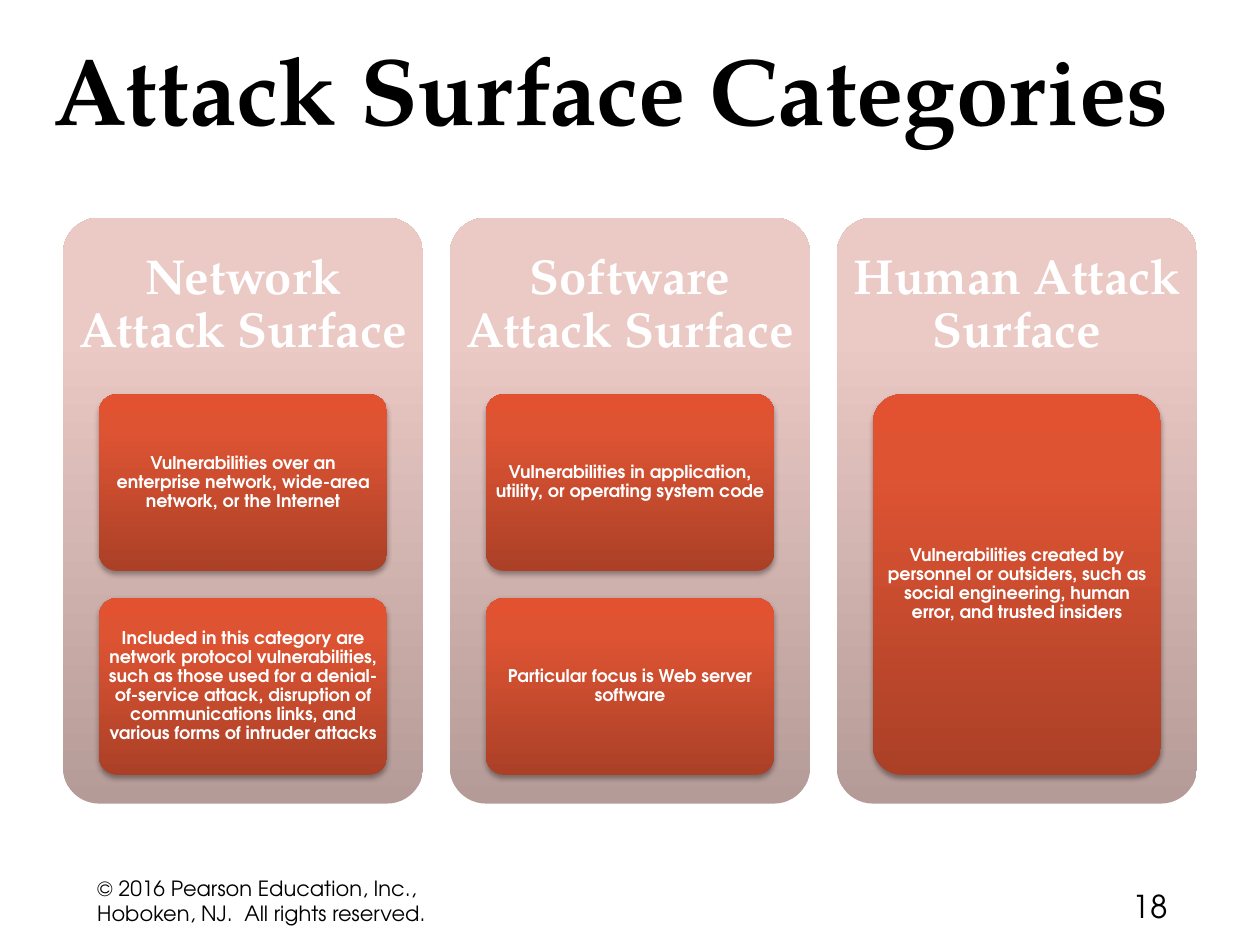
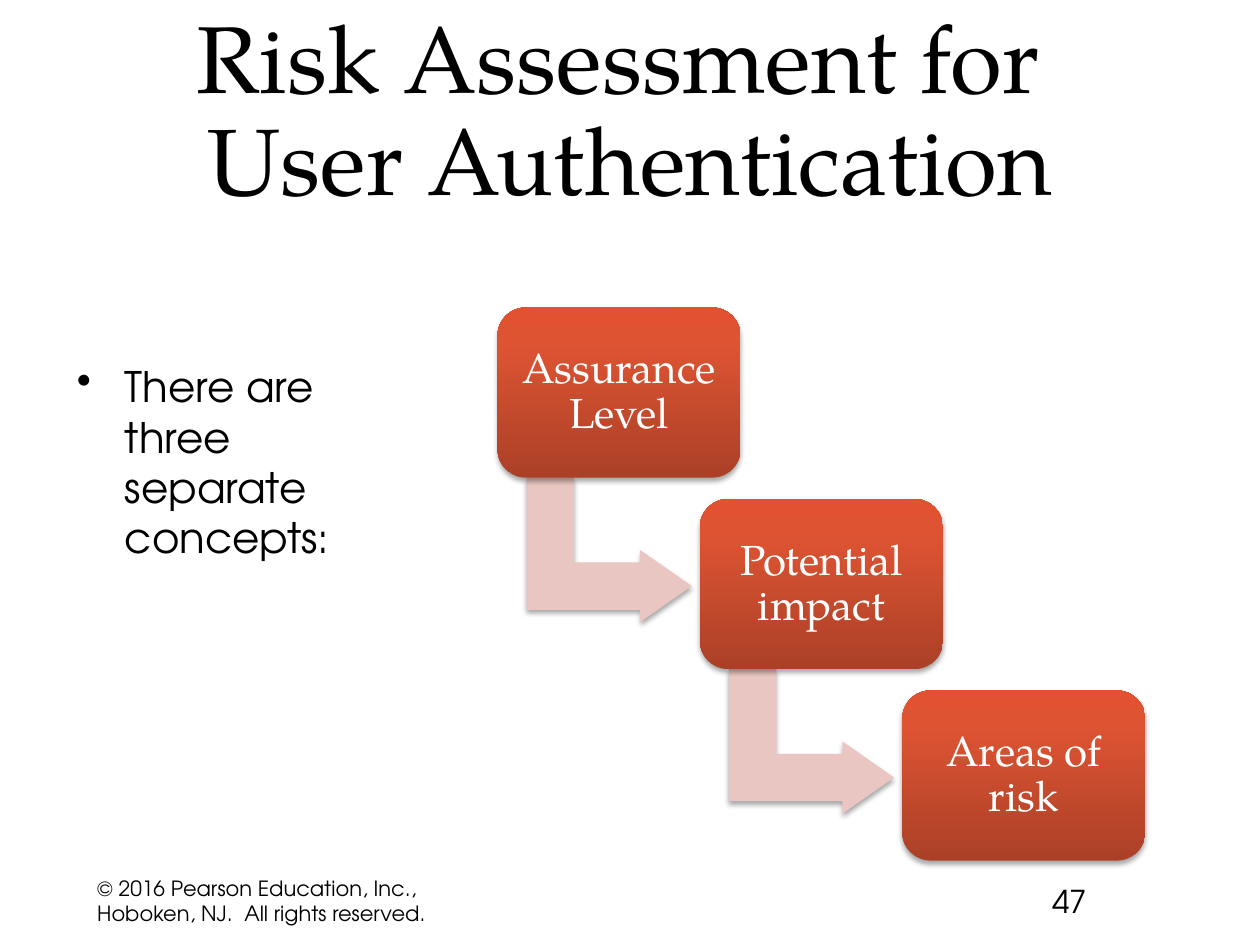
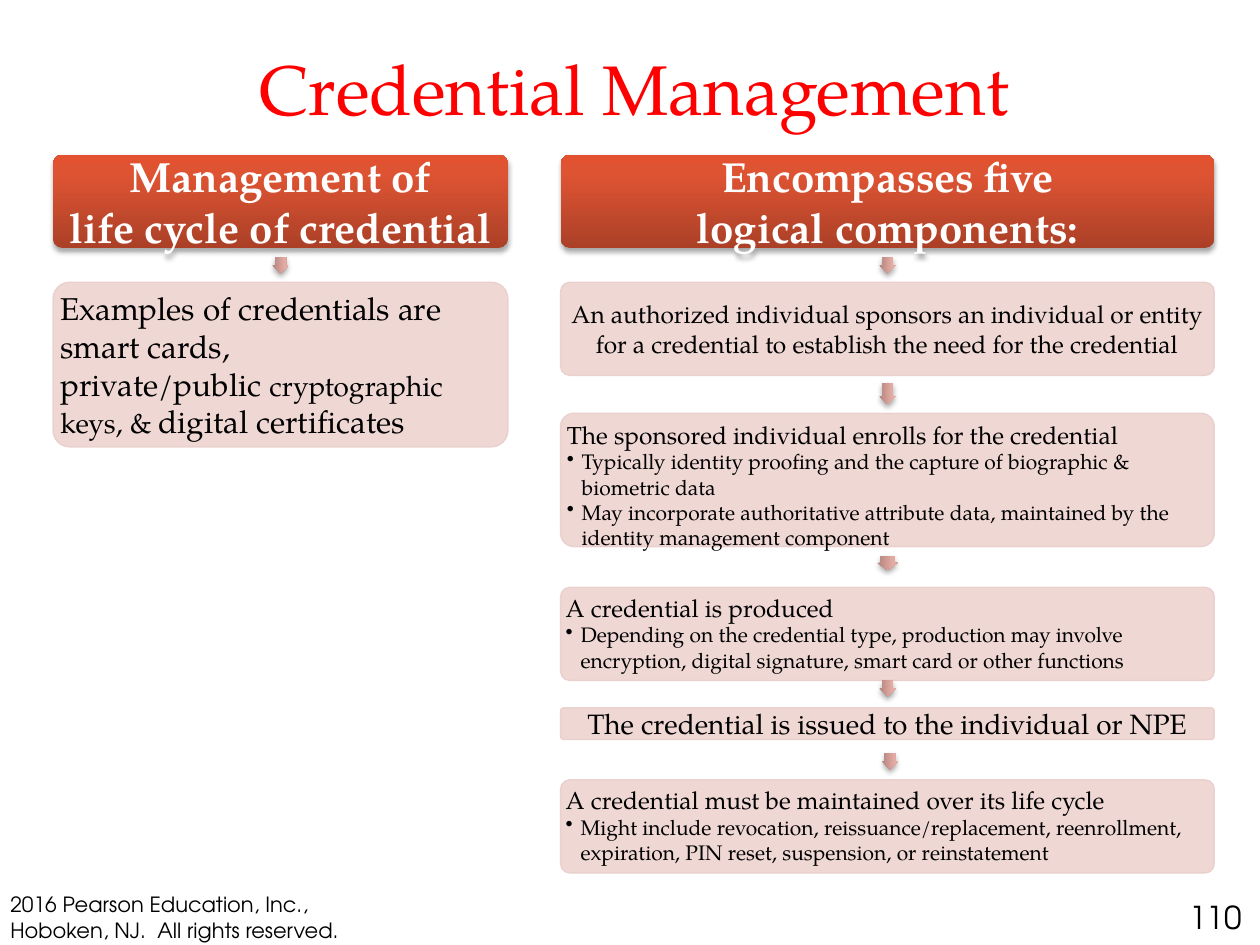
from copy import deepcopy

from pptx import Presentation
from pptx import util as u
from pptx.dml.color import RGBColor
from pptx.enum import shapes, text
from pptx.oxml import parse_xml
from pptx.oxml.ns import nsdecls, qn

SERIF, SANS = "TeX Gyre Pagella", "TeX Gyre Adventor"
BLACK, WHITE, RED = "000000", "FFFFFF", "FF0000"
BRICK = ("AB4027", "DE5433", "E35230")
ROSE = ("B59B97", "EBC9C5", "EDC9C5")
CLAY = ("B1847E", "E5ACA4", "E8ABA3")
PINK, PALE, EDGE = "E9C6C1", "EED3D0", "E9CECB"
STOPS = (0, 0.8, 1)
KIND = shapes.MSO_SHAPE
LEFT, MID = text.PP_ALIGN.LEFT, text.PP_ALIGN.CENTER
TOP, CORE, LOW = (text.MSO_ANCHOR.TOP, text.MSO_ANCHOR.MIDDLE,
                  text.MSO_ANCHOR.BOTTOM)
RIGHTS = "2016 Pearson Education, Inc., Hoboken, NJ.  All rights reserved."


def rgb(code):
    return RGBColor.from_string(code)


class Deck:
    def __init__(self):
        self.prs = Presentation()
        self.prs.slide_width, self.prs.slide_height = u.Cm(25.4), u.Cm(19.05)

    def page(self):
        self.slide = self.prs.slides.add_slide(self.prs.slide_layouts[6])

    def fill_text(self, shape, paras, size, font=SERIF, color=BLACK,
                  bold=False, align=LEFT, anchor=CORE, lead=None,
                  pad=(0.25, 0.13, 0.25, 0.13)):
        """Each para is a string or a list of (text, size, hanging indent)."""
        frame = shape.text_frame
        sides = ("margin_left", "margin_top", "margin_right", "margin_bottom")
        form = dict(zip(sides, map(u.Cm, pad)),
                    word_wrap=True, vertical_anchor=anchor)
        for key, val in form.items():
            setattr(frame, key, val)
        for i, para in enumerate(paras):
            p = frame.add_paragraph() if i else frame.paragraphs[0]
            parts = [(para, size, 0)] if isinstance(para, str) else para
            if parts[0][2]:
                self.bullet(p, parts[0][2])
            p.alignment, p.line_spacing = align, lead
            for words, pt, _ in parts:
                lines = words.split("\v")
                for n, line in enumerate(lines):
                    if n:
                        p.add_line_break()
                    run = p.add_run()
                    run.text = line
                    look = dict(name=font, size=u.Pt(pt), bold=bold)
                    for key, val in look.items():
                        setattr(run.font, key, val)
                    run.font.color.rgb = rgb(color)

    def bullet(self, p, hang):
        props = p._p.get_or_add_pPr()
        props.set("marL", str(u.Cm(hang)))
        props.set("indent", str(-u.Cm(hang)))
        props.append(parse_xml(f'<a:buChar {nsdecls("a")} char="•"/>'))

    def label(self, box, paras, size, **look):
        shape = self.slide.shapes.add_textbox(*map(u.Cm, box))
        self.fill_text(shape, paras, size, **look)

    def title(self, box, words, size=54, **look):
        self.label(box, [words], size, align=MID, anchor=LOW, **look)

    def footer(self, num, note, spot):
        self.label(note[1:], [note[0]], 12, font=SANS,
                   pad=(0.13, 0.13, 0.25, 0.13))
        self.label(spot, [num], 18, font=SANS, pad=(0.08, 0.13, 0.13, 0.13))

    def shape(self, kind, box, fill, adj, shade=True):
        """A three-colour fill runs as a gradient from bottom to top."""
        shape = self.slide.shapes.add_shape(kind, *map(u.Cm, box))
        for i, val in enumerate(adj):
            shape.adjustments[i] = val
        shape.line.fill.background()
        shape.shadow.inherit = False
        props = shape._element.spPr
        if isinstance(fill, str):
            shape.fill.solid()
            shape.fill.fore_color.rgb = rgb(fill)
        else:
            shape.fill.gradient()
            shape.fill.gradient_angle = 90
            stops = props.find(".//" + qn("a:gsLst"))
            stops.append(deepcopy(stops[-1]))
            for stop, pos, code in zip(shape.fill.gradient_stops, STOPS, fill):
                stop.position = pos
                stop.color.rgb = rgb(code)
        if shade:
            props.find(qn("a:effectLst")).append(parse_xml(
                f'<a:outerShdw {nsdecls("a")} blurRad="{u.Pt(3.1)}" '
                f'dist="{u.Pt(1.8)}" dir="5400000" rotWithShape="0">'
                '<a:srgbClr val="000000"><a:alpha val="35000"/></a:srgbClr>'
                '</a:outerShdw>'))
        return shape

    def card(self, box, paras, size, adj=0.1, pad=(0.08, 0.05, 0.08, 0.05),
             **look):
        shape = self.shape(KIND.ROUNDED_RECTANGLE, box, BRICK, [adj])
        self.fill_text(shape, paras, size, color=WHITE, align=MID, pad=pad,
                       **look)

    def note(self, box, paras, size, **look):
        shape = self.shape(KIND.ROUNDED_RECTANGLE, box, PALE, [0.1], False)
        shape.line.color.rgb = rgb(EDGE)
        shape.line.width = u.Pt(0.75)
        for tint in shape._element.spPr.iter(qn("a:srgbClr")):
            tint.append(parse_xml(f'<a:alpha {nsdecls("a")} val="90000"/>'))
        self.fill_text(shape, paras, size, pad=[0.05] * 4, **look)

    def arrow(self, x, y, long=0.33, wide=0.33):
        """Small arrow pointing down, centred on x, y."""
        box = (x - long / 2, y - wide / 2, long, wide)
        self.shape(KIND.RIGHT_ARROW, box, CLAY, [0.667, 0.5]).rotation = 90


NOTE = ("© " + RIGHTS, 1.83, 17.65, 7.9, 1.02)


def attack(deck):
    deck.page()
    deck.title((0.51, 1.12, 23.62, 1.93), "Attack Surface Categories",
               bold=True, lead=u.Pt(58))
    groups = {
        "Network Attack Surface": [
            "Vulnerabilities over an enterprise network, wide-area network, "
            "or the Internet",
            "Included in this category are network protocol vulnerabilities, "
            "such as those used for a denial-of-service attack, disruption of "
            "communications links, and various forms of intruder attacks"],
        "Software Attack Surface": [
            "Vulnerabilities in application, utility, or operating system code",
            "Particular focus is Web server software"],
        "Human Attack Surface": [
            "Vulnerabilities created by personnel or outsiders, such as social "
            "engineering, human error, and trusted insiders"]}
    wide, gap = 7.26, 0.55
    for col, (head, items) in enumerate(groups.items()):
        x = 1.27 + col * 7.8
        deck.shape(KIND.ROUNDED_RECTANGLE, (x, 4.39, wide, 11.81), ROSE,
                   [0.1], False)
        deck.label((x, 4.39, wide, 3.53), [head], 28, color=WHITE, bold=True,
                   align=MID, lead=0.9, pad=[0.3] * 4)
        tall = (7.67 - gap * (len(items) - 1)) / len(items)
        for row, item in enumerate(items):
            y = 7.95 + row * (tall + gap)
            deck.card((x + wide / 10, y, wide * 0.8, tall), [item], 10,
                      font=SANS, bold=True, lead=0.9)
    deck.footer("18", NOTE, (22.76, 17.75, 1.37, 1.02))


def risk(deck):
    deck.page()
    deck.title((1.27, 0, 22.86, 4.45),
               "Risk Assessment for \vUser Authentication", lead=u.Pt(58))
    deck.label((1.3, 7.14, 7.01, 7.98),
               [[("There are three separate concepts:", 24, 0.97)]], 24,
               font=SANS, anchor=TOP)
    steps = ["Assurance Level", "Potential impact", "Areas of risk"]
    for i, step in enumerate(steps):
        x, y = 10.03 + i * 4.08, 6.2 + i * 3.86
        if i < len(steps) - 1:
            bend = deck.shape(KIND.BENT_UP_ARROW, (x + 0.79, y + 3.22, 2.92, 3.33),
                              PINK, [0.328, 0.25, 0.358])
            bend.rotation = 90
        deck.card((x, y, 4.9, 3.43), [step], 24, adj=0.167, lead=0.9,
                  pad=[0.25] * 4)
    deck.footer("47", NOTE, (21.13, 17.65, 3, 1.02))


def manage(deck):
    deck.page()
    deck.title((1.35, 0.74, 22.86, 2.01), "Credential Management", 40, color=RED)
    left, right = (1.07, 9.17), (11.3, 13.18)
    heads = [(left, ["Management of", "life cycle of credential"]),
             (right, ["Encompasses five", "logical components:"])]
    for (x, wide), head in heads:
        deck.card((x, 3.12, wide, 1.88), head, 24, bold=True, pad=[0.1] * 4)
        deck.arrow(x + wide / 2, 5.35)
    deck.note((left[0], 5.69, left[1], 3.32), [
        "Examples of credentials are", "smart cards,",
        [("private/public ", 18, 0), ("cryptographic keys, & ", 16, 0),
         ("digital certificates", 18, 0)]], 18)

    x, wide = right
    lone = [
        (5.69, 1.88, 14, "An authorized individual sponsors an individual or "
         "entity for a credential to establish the need for the credential"),
        (14.27, 0.64, 16, "The credential is issued to the individual or NPE")]
    for y, tall, size, words in lone:
        deck.note((x, y, wide, tall), [words], size, align=MID)
    lists = [
        (8.33, 2.69, "The sponsored individual enrolls for the credential", [
            "Typically identity proofing and the capture of biographic & "
            "biometric data",
            "May incorporate authoritative attribute data, maintained by the "
            "identity management component"]),
        (11.84, 1.88, "A credential is produced", [
            "Depending on the credential type, production may involve "
            "encryption, digital signature, smart card or other functions"]),
        (15.72, 1.88, "A credential must be maintained over its life cycle", [
            "Might include revocation, reissuance/replacement, reenrollment, "
            "expiration, PIN reset, suspension, or reinstatement"])]
    for y, tall, head, items in lists:
        points = [[(item, 12, 0.3)] for item in items]
        deck.note((x, y, wide, tall), [head] + points, 14, anchor=TOP)
    mid = x + wide / 2
    deck.arrow(mid, 7.94, long=0.43)
    deck.arrow(mid, 11.35, long=0.3, wide=0.41)
    deck.arrow(mid, 13.88)
    deck.arrow(mid + 0.05, 15.35)
    deck.footer("110", (RIGHTS, 0.08, 17.98, 8.48, 1.02),
                (23.9, 17.98, 1.55, 1.02))


def main():
    deck = Deck()
    for build in (attack, risk, manage):
        build(deck)
    deck.prs.save("out.pptx")


if __name__ == "__main__":
    main()
